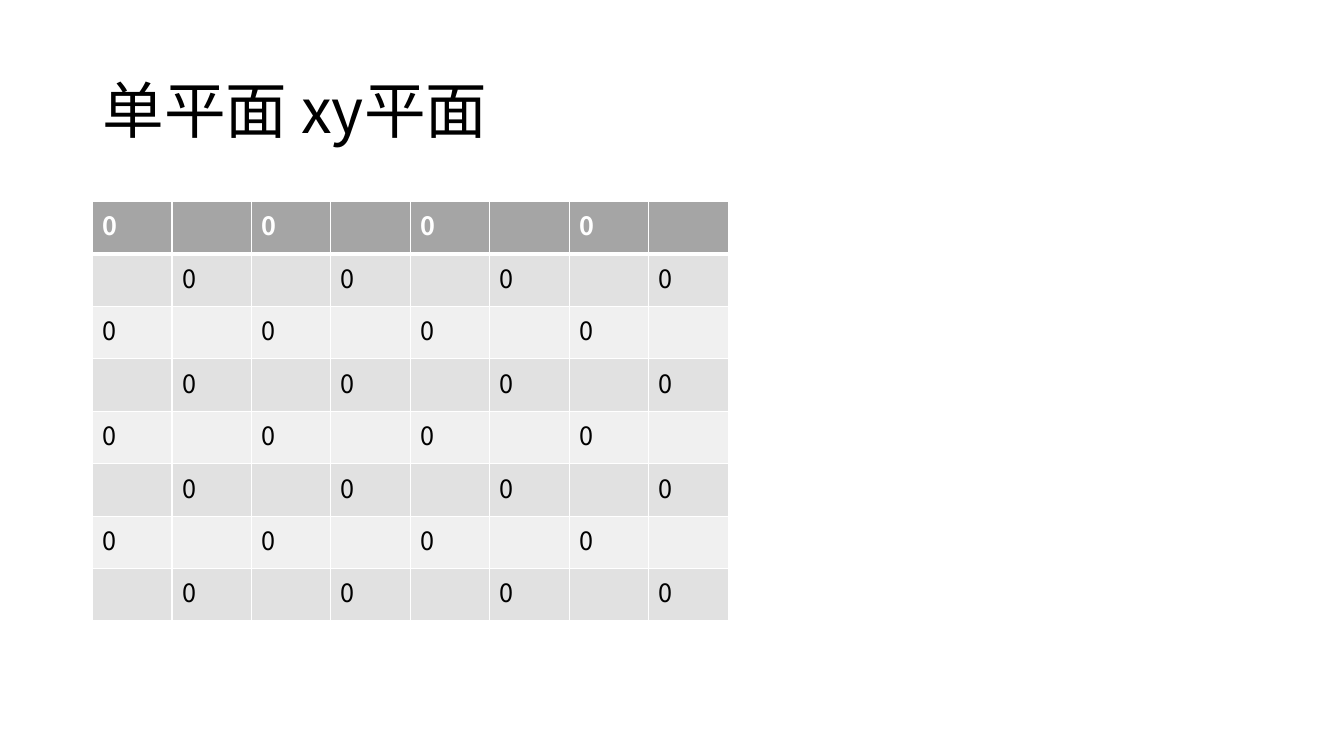
import pptx
import pptx.dml.color
import pptx.enum.text
import pptx.oxml.ns
import pptx.util
import lxml.etree

Cm = pptx.util.Cm
Pt = pptx.util.Pt
RGBColor = pptx.dml.color.RGBColor
qn = pptx.oxml.ns.qn

BLACK = RGBColor(0x00, 0x00, 0x00)
WHITE = RGBColor(0xFF, 0xFF, 0xFF)
HEADER_GRAY = RGBColor(0xA5, 0xA5, 0xA5)
DARK_BAND = RGBColor(0xE1, 0xE1, 0xE1)
LIGHT_BAND = RGBColor(0xF0, 0xF0, 0xF0)

GRID_SIZE = 8


class SlideBuilder:
    font_name = "Noto Sans CJK SC"
    title_size = Pt(44)
    cell_size = Pt(18)

    def __init__(self, deck):
        self.page = deck.slides.add_slide(deck.slide_layouts[5])

    def add_span(self, para, text, size, color, bold=False):
        span = para.add_run()
        span.text = text
        span.font.name = self.font_name
        span.font.size = size
        span.font.bold = bold
        span.font.color.rgb = color
        east_asian = lxml.etree.SubElement(span.font._element, qn("a:ea"))
        east_asian.set("typeface", self.font_name)

    def add_title(self, text, left, top, width, height):
        box = self.page.shapes.title
        box.left, box.top, box.width, box.height = left, top, width, height
        frame = box.text_frame
        frame.word_wrap = True
        frame.auto_size = pptx.enum.text.MSO_AUTO_SIZE.NONE
        frame.vertical_anchor = pptx.enum.text.MSO_ANCHOR.MIDDLE
        para = frame.paragraphs[0]
        para.alignment = pptx.enum.text.PP_ALIGN.LEFT
        para.line_spacing = 0.9
        self.add_span(para, text, self.title_size, BLACK)

    def add_border(self, cell, side, width):
        properties = cell._tc.get_or_add_tcPr()
        line = lxml.etree.SubElement(properties, qn(f"a:ln{side}"), w=str(Pt(width)))
        fill = lxml.etree.SubElement(line, qn("a:solidFill"))
        lxml.etree.SubElement(fill, qn("a:srgbClr"), val=str(WHITE))

    def style_cell(self, cell, row):
        is_header = row == 0
        widths = {"L": 1, "R": 1, "T": 3 if row == 1 else 1, "B": 3 if is_header else 1}
        for side, width in widths.items():
            self.add_border(cell, side, width)
        cell.fill.solid()
        band = DARK_BAND if row % 2 else LIGHT_BAND
        cell.fill.fore_color.rgb = HEADER_GRAY if is_header else band

    def add_checkerboard(self, mark, left, top, width, height):
        frame = self.page.shapes.add_table(GRID_SIZE, GRID_SIZE, left, top, width, height)
        for row in range(GRID_SIZE):
            for column in range(GRID_SIZE):
                cell = frame.table.cell(row, column)
                self.style_cell(cell, row)
                if (row + column) % 2 == 0:
                    color = BLACK if row else WHITE
                    para = cell.text_frame.paragraphs[0]
                    self.add_span(para, mark, self.cell_size, color, bold=row == 0)


def main():
    deck = pptx.Presentation()
    deck.slide_width = Cm(33.87)
    deck.slide_height = Cm(19.05)
    builder = SlideBuilder(deck)
    builder.add_title("单平面 xy平面", Cm(2.33), Cm(1.01), Cm(29.21), Cm(3.68))
    builder.add_checkerboard("0", Cm(2.33), Cm(5.08), Cm(16.03), Cm(10.57))
    deck.save("out.pptx")


if __name__ == "__main__":
    main()
